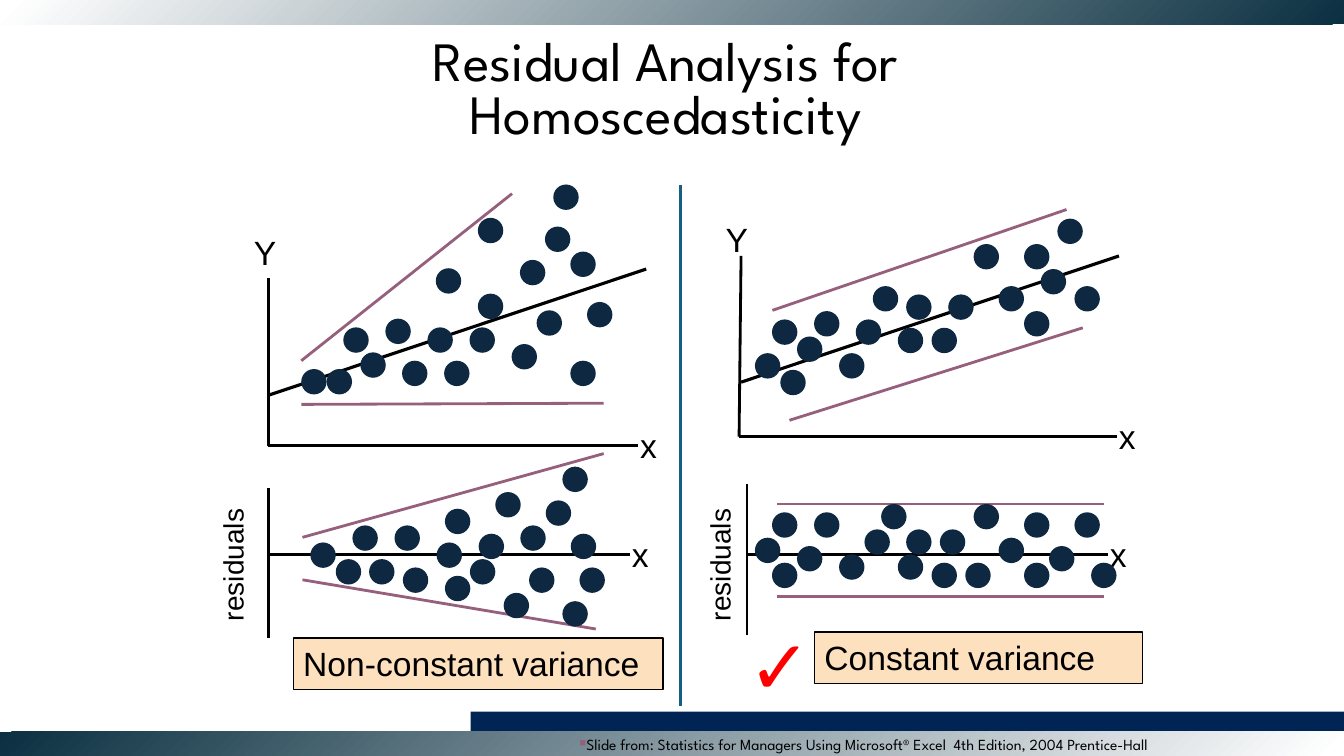
"""Build a slide that contrasts non-constant and constant residual variance."""
import lxml.etree
import pptx
import pptx.dml.color
import pptx.enum.shapes
import pptx.enum.text
import pptx.oxml.ns
import pptx.util

COLORS = {
    "black": "000000", "white": "FFFFFF", "navy": "002554", "teal": "0B3041",
    "dot": "0E2841", "band": "96607D", "divider": "156082", "peach": "FDE0BD", "red": "FF0000",
}
TITLE_FONT = "League Spartan"
SLIDE_WIDTH, SLIDE_HEIGHT, BAR_HEIGHT = 13.33, 7.5, 0.24
DOT_SIZE = 0.25
GRID_STEP = DOT_SIZE / 3
HALF_ROWS = {"^": 0, "v": 1}

PANELS = [
    {
        "axes": [(2.66, 2.76, 2.66, 4.42), (2.66, 4.42, 6.33, 4.42)],
        "trend": [(2.66, 3.92, 6.41, 2.67)],
        "bands": [(2.99, 3.58, 5.08, 1.92), (2.99, 4.01, 5.99, 4)],
        "Y": (2.42, 2.25), "origin": (2.99, 1.83),
        "dots": """
            ----+----+----+----+----+----+^
            ----+
            ----+----+----+----+-^--+----v
            ----+
            ----+----+----+----+----+-v--+--^
            ----+----+----+-^
            ----+----+----+----+-v
            ----+----+----+----+----+---v+----^
            ----+v---+^---+v---+v
            ----+----+----+----+----+v
            ----+--^-+--v-+--v-+----+----+--v
            ^--^""",
    },
    {
        "axes": [(2.66, 4.84, 2.66, 6.33), (2.66, 5.5, 6.25, 5.5)],
        "bands": [(3, 5.33, 5.99, 4.5), (3, 5.75, 5.91, 6.24)],
        "residuals": (1.59, 5.33), "origin": (3.08, 4.63),
        "dots": """
            ----+----+----+----+----+----+^
            ----+----+----+----+--v
            ----+----+----+-v--+----+---^
            ----+v---+v---+----+----+v
            v---+----+----+v---+^---+----+-^
            ---v+--v-+----+----v
            ----+----+-^--+-v--+----+-^--+--^
            ----+----+----+----+---v
            ----+----+----+----+----+----+^""",
    },
    {
        "axes": [(7.35, 2.54, 7.33, 4.33), (7.33, 4.33, 11.08, 4.33)],
        "trend": [(7.35, 3.79, 11.1, 2.54)],
        "bands": [(7.66, 3.08, 10.58, 2.08), (7.83, 4.17, 10.74, 3.25)],
        "Y": (7.1, 2.12), "origin": (7.49, 2.17),
        "dots": """
            ----+----+----+----+----+----+----+-^
            ----+----+----+----+----+-v--+--v
            ----+
            ----+----+----+----+----+----+----^
            ----+----+----^---v+---v+----^----+---^
            ----+--v-+----+----+----+----+--v
            --^-+----+--^-+--v-+-v
            ----+^
            ^---+----+^
            ---^""",
    },
    {
        "axes": [(7.41, 4.8, 7.41, 6.3), (7.41, 5.5, 10.99, 5.5)],
        "bands": [(7.71, 5, 10.95, 5), (7.71, 5.92, 10.95, 5.92)],
        "residuals": (6.42, 5.33), "origin": (7.49, 5),
        "dots": """
            --v-+--v-+----+^---+----+-^--+--v-+---v
            ----+----+---v+---v+--v
            ^---+v---+----+----+----+----^----+v
            --v-+----+^---+--^-+-v--+v---+--v-+----+v""",
    },
]


def rgb(name):
    """Return the named colour."""
    return pptx.dml.color.RGBColor.from_string(COLORS[name])


def lengths(*inches):
    """Convert inches to lengths in centimetres."""
    return [pptx.util.Cm(round(value * 2.54, 2)) for value in inches]


def write_text(shape, text, size=24, font="Arial", color="black", wrap=True,
               align="LEFT", anchor="TOP", spacing=None, bullet=None):
    """Write one formatted paragraph into a shape."""
    frame = shape.text_frame
    frame.text = text
    frame.word_wrap = wrap
    frame.vertical_anchor = getattr(pptx.enum.text.MSO_ANCHOR, anchor)
    paragraph = frame.paragraphs[0]
    if bullet:
        add_bullet(paragraph, bullet)
    paragraph.alignment = getattr(pptx.enum.text.PP_ALIGN, align)
    if spacing:
        paragraph.line_spacing = spacing
    for run in paragraph.runs:
        run.font.size = pptx.util.Pt(size)
        run.font.name = font
        run.font.color.rgb = rgb(color)


def add_bullet(paragraph, character):
    """Give a paragraph a small coloured bullet."""
    properties = paragraph._p.get_or_add_pPr()
    tag = pptx.oxml.ns.qn
    color = lxml.etree.SubElement(properties, tag("a:buClr"))
    lxml.etree.SubElement(color, tag("a:srgbClr"), val=COLORS["band"])
    lxml.etree.SubElement(properties, tag("a:buSzPct"), val="60000")
    lxml.etree.SubElement(properties, tag("a:buChar"), char=character)


def add_label(slide, text, left, top, width=0.51, height=0.5, rotation=0, **text_format):
    """Add a text box."""
    shape = slide.shapes.add_textbox(*lengths(left, top, width, height))
    shape.rotation = rotation
    write_text(shape, text, **text_format)


def add_preset(slide, kind, left, top, width, height, fill="teal"):
    """Add a filled preset shape without an outline or shadow."""
    preset = getattr(pptx.enum.shapes.MSO_SHAPE, kind)
    shape = slide.shapes.add_shape(preset, *lengths(left, top, width, height))
    shape.shadow.inherit = False
    shape.fill.solid()
    shape.fill.fore_color.rgb = rgb(fill)
    shape.line.fill.background()
    return shape


def add_gradient_bar(slide, top, rotation):
    """Add a full-width bar fading from teal to white."""
    bar = add_preset(slide, "RECTANGLE", 0, top, SLIDE_WIDTH, BAR_HEIGHT)
    bar.rotation = rotation
    bar.fill.gradient()
    bar.fill.gradient_angle = 315
    for stop, (position, color) in zip(bar.fill.gradient_stops, [(0, "teal"), (0.99, "white")]):
        stop.position = position
        stop.color.rgb = rgb(color)


def add_line(slide, ends, color="black", width=2):
    """Add a straight line without a shadow."""
    straight = pptx.enum.shapes.MSO_CONNECTOR.STRAIGHT
    line = slide.shapes.add_connector(straight, *lengths(*ends))
    line.line.color.rgb = rgb(color)
    line.line.width = pptx.util.Pt(width)
    lxml.etree.SubElement(line._element.spPr, pptx.oxml.ns.qn("a:effectLst"))


def add_caption(slide, text, left, top, width):
    """Add a boxed caption."""
    box = add_preset(slide, "RECTANGLE", left, top, width, 0.51, "peach")
    box.line.color.rgb = rgb("black")
    box.line.width = pptx.util.Pt(1)
    write_text(box, text)


def add_panel(slide, panel):
    """Draw one plot; in its dot grid ^ and v mark the upper and lower half of a row."""
    for part, color, width in [("axes", "black", 2), ("trend", "black", 2.25), ("bands", "band", 2)]:
        for ends in panel.get(part, []):
            add_line(slide, ends, color, width)
    axis_right, axis_height = panel["axes"][1][2:]
    add_label(slide, "x", axis_right - 0.08, axis_height - 0.25)
    if "Y" in panel:
        add_label(slide, "Y", *panel["Y"], width=0.42, wrap=False)
    else:
        add_label(slide, "residuals", *panel["residuals"], 1.43, 0.43, rotation=270, size=20)
    left, top = panel["origin"]
    for row, marks in enumerate(panel["dots"].split()):
        for column, mark in enumerate(marks):
            if mark in HALF_ROWS:
                y = top + (2 * row + HALF_ROWS[mark]) * GRID_STEP
                add_preset(slide, "OVAL", left + column * GRID_STEP, y, DOT_SIZE, DOT_SIZE, "dot")


def main():
    """Build and save the slide."""
    presentation = pptx.Presentation()
    presentation.slide_width, presentation.slide_height = lengths(SLIDE_WIDTH, SLIDE_HEIGHT)
    slide = presentation.slides.add_slide(presentation.slide_layouts[5])
    title = slide.shapes.title
    title.left, title.top, title.width, title.height = lengths(1.67, 0.33, 10, 1.17)
    write_text(title, "Residual Analysis for \vHomoscedasticity ", size=39.6, font=TITLE_FONT,
               align="CENTER", anchor="MIDDLE", spacing=0.8)
    add_preset(slide, "RECTANGLE", 4.67, 7.06, 8.66, 0.44, "navy")
    add_gradient_bar(slide, SLIDE_HEIGHT - BAR_HEIGHT, 0)
    add_gradient_bar(slide, 0, 180)
    add_caption(slide, "Non-constant variance", 2.91, 6.33, 3.67)
    add_label(slide, "✓", 7.33, 6.09, 1, 1.01, size=54, color="red")
    add_caption(slide, "Constant variance", 8.08, 6.27, 3.25)
    for panel in PANELS:
        add_panel(slide, panel)
    add_line(slide, (6.75, 1.83, 6.75, 7), "divider", 2.25)
    add_label(slide, "Slide from: Statistics for Managers Using Microsoft® Excel  4th Edition, "
              "2004 Prentice-Hall", 5.65, 7.24, 6.71, 0.29, size=11, font=TITLE_FONT, bullet="■")
    presentation.save("out.pptx")


if __name__ == "__main__":
    main()
